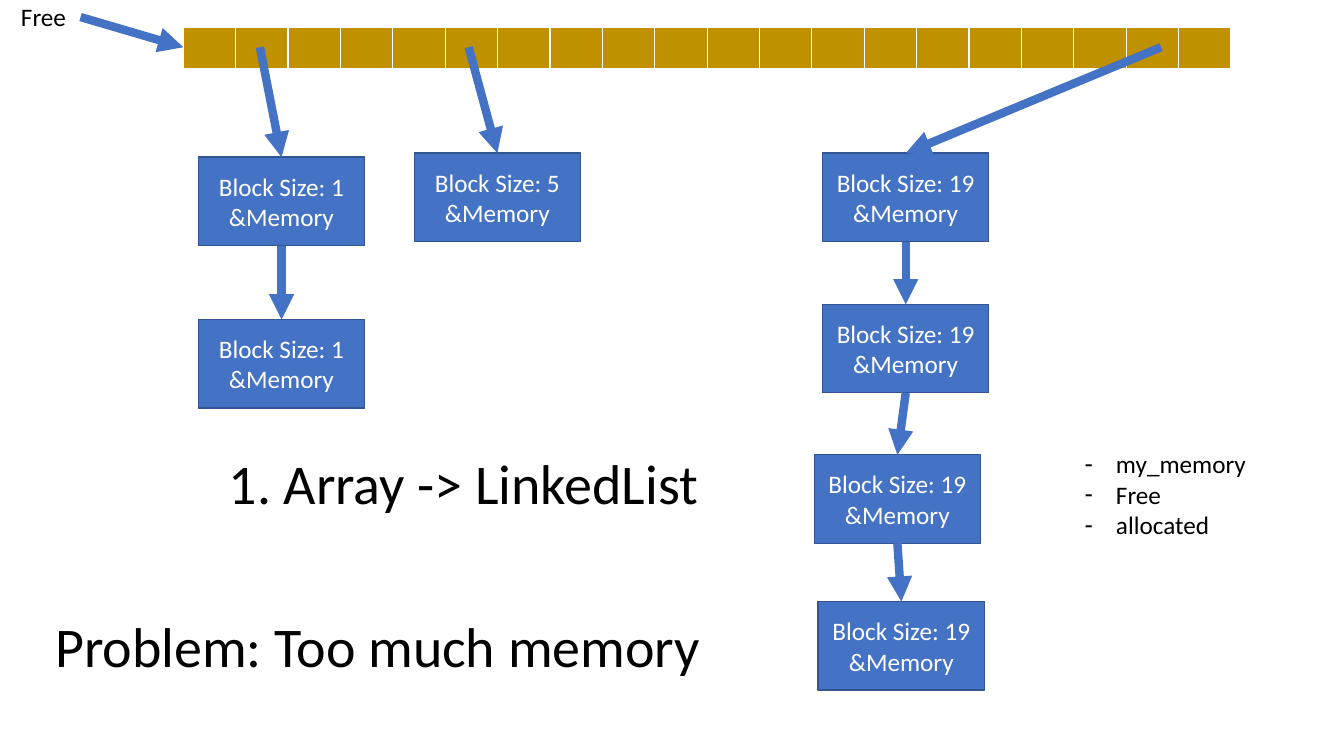
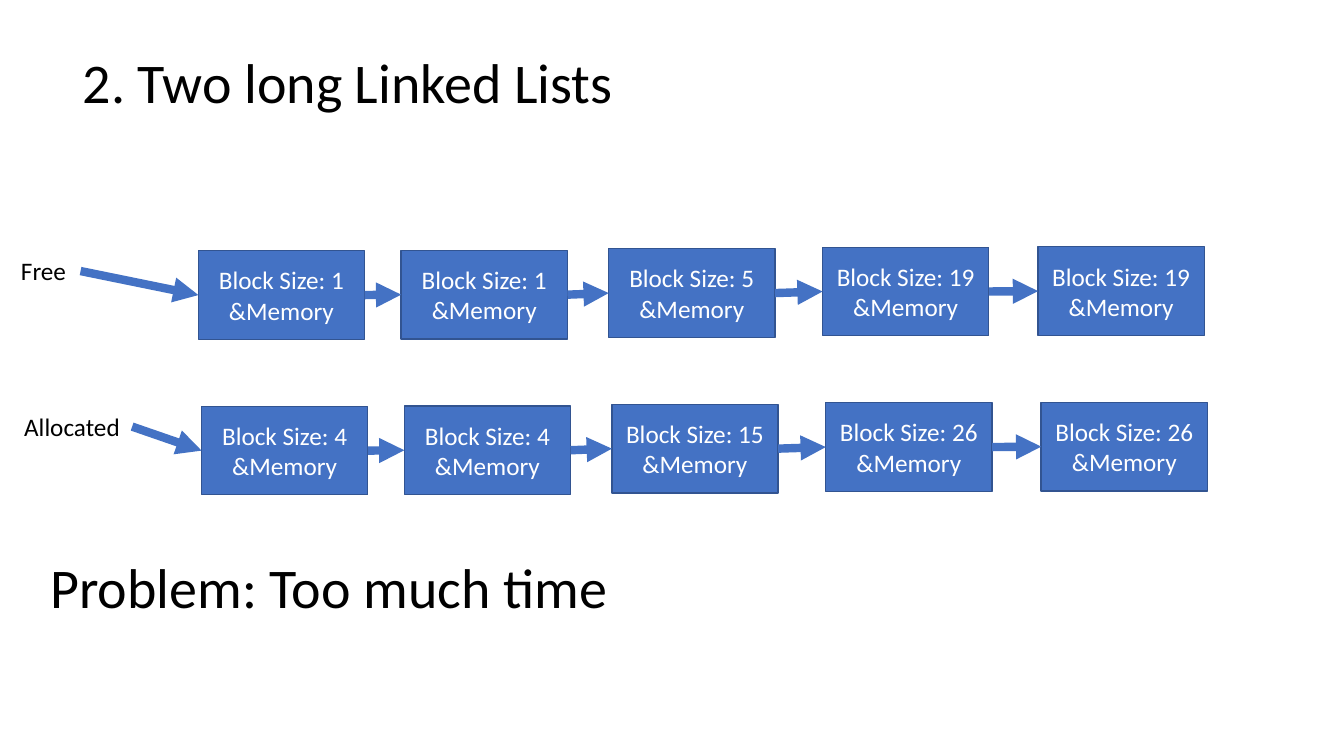
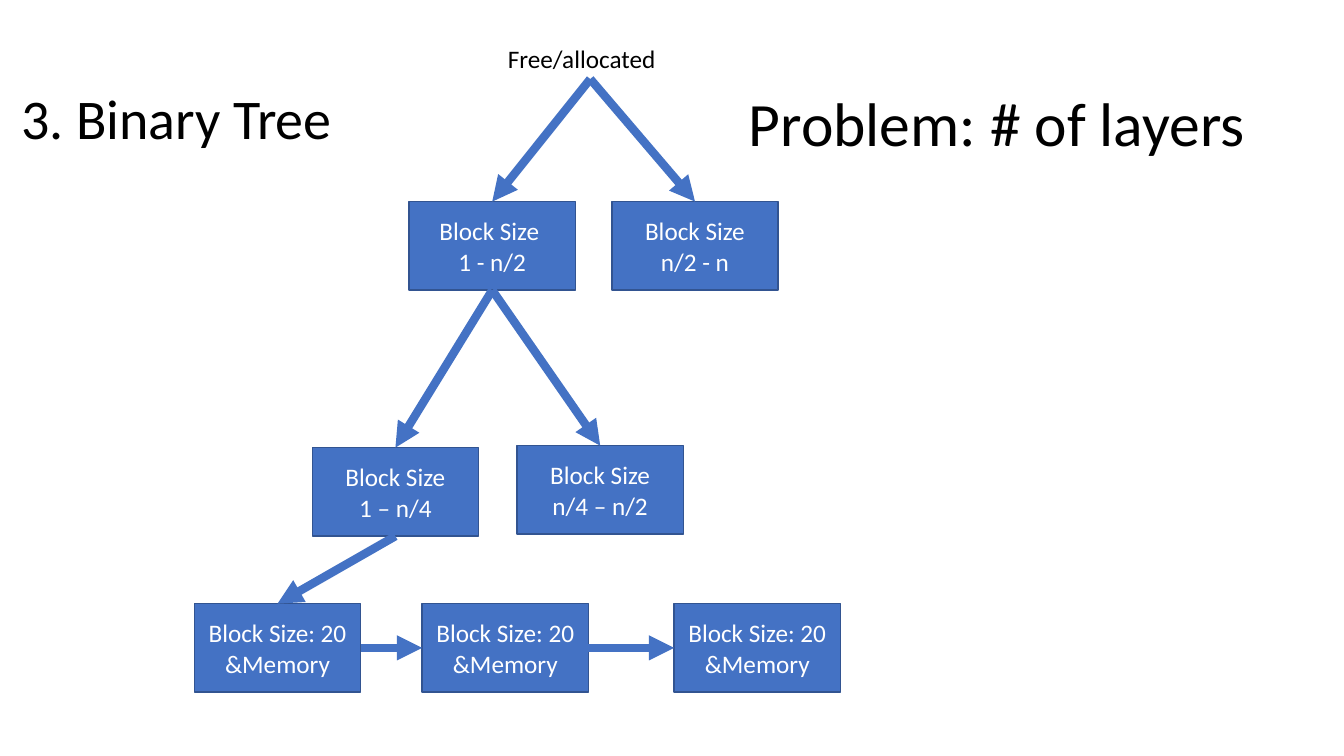
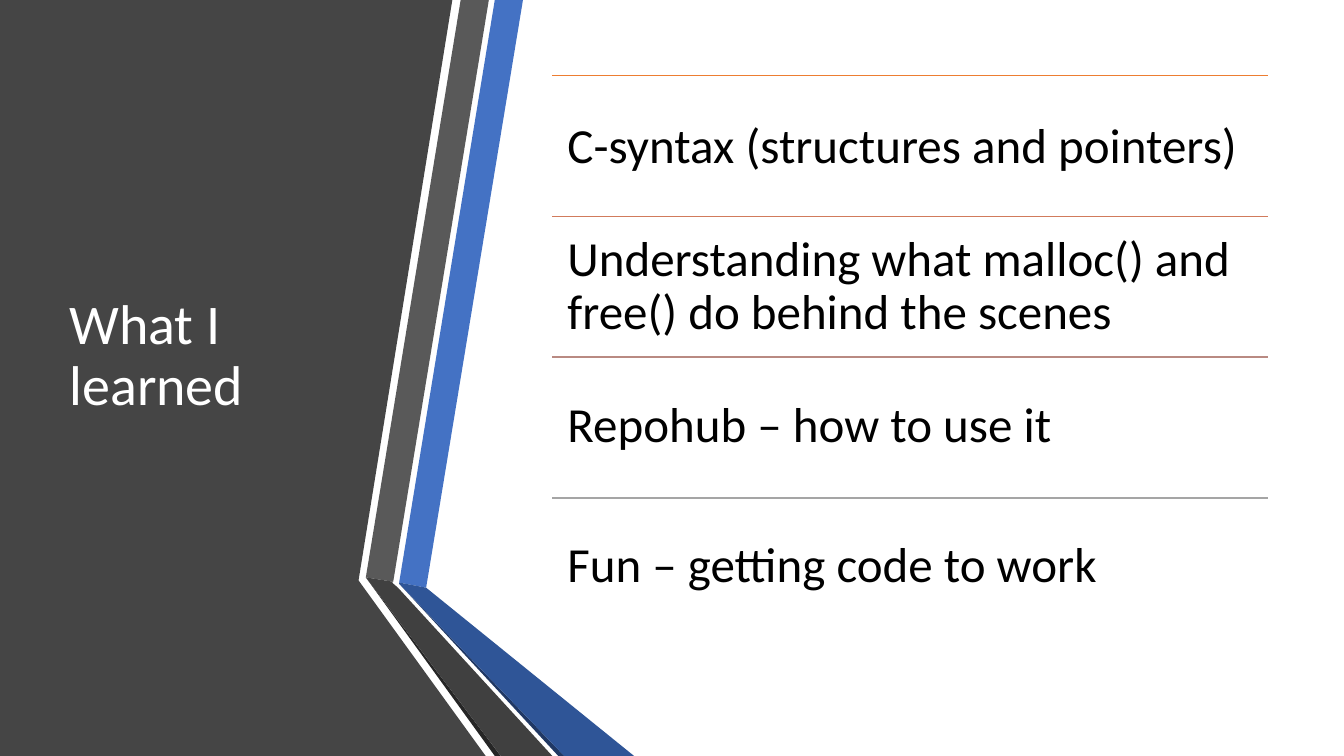
from lxml.etree import SubElement
from pptx import Presentation
from pptx.dml.color import RGBColor
from pptx.enum.shapes import MSO_CONNECTOR as Connector, MSO_SHAPE as Preset
from pptx.enum.text import MSO_ANCHOR as Anchor, MSO_AUTO_SIZE as AutoSize, PP_ALIGN as Align
from pptx.oxml.ns import qn
from pptx.util import Cm, Pt

color_of = RGBColor.from_string
FONT = "Calibri"
BLACK, WHITE, BLUE, NAVY, GOLD = "000000", "FFFFFF", "4472C4", "325491", "BF9000"
TOP, LEFT, BOTTOM, RIGHT = range(4)
BOX_WIDTH, BOX_HEIGHT = 4.19, 2.23


def write(shape, text, size=18, color=BLACK, align=Align.LEFT, anchor=Anchor.TOP,
          line_spacing=1.0, bullet=None, indent=0.0):
    frame = shape.text_frame
    frame.text = text
    frame.word_wrap = True
    frame.auto_size = AutoSize.NONE
    frame.vertical_anchor = anchor
    for paragraph in frame.paragraphs:
        paragraph.alignment = align
        paragraph.line_spacing = line_spacing
        paragraph.space_before = paragraph.space_after = Pt(0)
        font = paragraph.runs[0].font
        font.name, font.size, font.color.rgb = FONT, Pt(size), color_of(color)
        properties = paragraph._p.get_or_add_pPr()
        properties.set("marL", str(Cm(indent)))
        properties.set("indent", str(Cm(-indent)))
        if bullet:
            SubElement(properties, qn("a:buChar")).set("char", bullet)
        else:
            SubElement(properties, qn("a:buNone"))


def draw_line(slide, start, end, color=BLUE, width=6, arrow=True):
    line = slide.shapes.add_connector(Connector.STRAIGHT, *map(Cm, start + end))
    line.line.color.rgb = color_of(color)
    line.line.width = Pt(width)
    if arrow:
        SubElement(line.element.find(".//" + qn("a:ln")), qn("a:tailEnd")).set("type", "triangle")
    SubElement(line.element.spPr, qn("a:effectLst"))
    return line


presentation = Presentation()
presentation.slide_width, presentation.slide_height = Cm(33.87), Cm(19.05)

CONTENT, TITLE_ONLY = 1, 5
titles = [
    (CONTENT, "1. Array -> LinkedList", (5.51, 11.18, 13.21, 1.96)),
    (TITLE_ONLY, "2. Two long Linked Lists", (1.83, 1.07, 16.31, 1.96)),
    (TITLE_ONLY, "3. Binary Tree", (0.28, 1.98, 8.66, 1.96)),
    (CONTENT, "What I learned", (1.5, 1.9, 7.72, 14.18)),
]
slides = []
for layout, text, place in titles:
    slide = presentation.slides.add_slide(presentation.slide_layouts[layout])
    title = slide.shapes.title
    title.left, title.top, title.width, title.height = map(Cm, place)
    write(title, text, size=40)
    slides.append(slide)
array_slide, lists_slide, tree_slide, learned_slide = slides

globals_list = array_slide.placeholders[1]
globals_list.left, globals_list.top = Cm(27.08), Cm(11.18)
globals_list.width, globals_list.height = Cm(5.94), Cm(2.57)
write(globals_list, "my_memory\nFree\nallocated", bullet="-", indent=0.79)

CELLS, CELL_WIDTH, CELL_HEIGHT = 20, 1.32, 1.04
array = array_slide.shapes.add_table(1, CELLS, Cm(4.62), Cm(0.69),
                                     Cm(CELLS * CELL_WIDTH), Cm(CELL_HEIGHT)).table
for column in array.columns:
    column.width = Cm(CELL_WIDTH)
for cell in array.iter_cells():
    cell.fill.solid()
    cell.fill.fore_color.rgb = color_of(GOLD)

array_boxes = {
    "1a": ("Block Size: 1\n&Memory", 5, 3.96),
    "1b": ("Block Size: 1\n&Memory", 5, 8.05),
    "5": ("Block Size: 5\n&Memory", 10.44, 3.86),
    "19a": ("Block Size: 19\n&Memory", 20.73, 3.86),
    "19b": ("Block Size: 19\n&Memory", 20.73, 7.67),
    "19c": ("Block Size: 19\n&Memory", 20.52, 11.46),
    "19d": ("Block Size: 19\n&Memory", 20.62, 15.16),
}
array_labels = {
    "free": ("Free", 18, (0.28, -0.08, 1.75, 1.02)),
    "problem": ("Problem: Too much memory", 40, (1.14, 15.29, 18.11, 1.96)),
}
array_arrows = [
    ("free", RIGHT, (4.62, 1.19), None),
    ((6.55, 1.19), None, "1a", TOP),
    ((11.81, 1.19), None, "5", TOP),
    ((29.26, 1.19), None, "19a", TOP),
    ("1a", BOTTOM, "1b", TOP),
    ("19a", BOTTOM, "19b", TOP),
    ("19b", BOTTOM, "19c", TOP),
    ("19c", BOTTOM, "19d", TOP),
]

list_places = [(5, 6.32), (10.11, 6.31), (15.34, 6.27), (20.73, 6.23), (26.16, 6.22)]
lists_labels = {
    "free": ("Free", 18, (0.28, 6.32, 1.75, 1.02)),
    "allocated": ("Allocated", 18, (0.36, 10.24, 2.97, 1.02)),
    "problem": ("Problem: Too much time", 40, (1.02, 13.79, 15.19, 1.96)),
}
lists_boxes, lists_arrows = {}, []
for head, sizes, shift, drop in (("free", (1, 1, 5, 19, 19), 0, 0),
                                 ("allocated", (4, 4, 15, 26, 26), 0.08, 3.92)):
    previous = head
    for index, (size, (left, top)) in enumerate(zip(sizes, list_places)):
        name = f"{head}{index}"
        lists_boxes[name] = (f"Block Size: {size}\n&Memory", left + shift, top + drop)
        lists_arrows.append((previous, RIGHT, name, LEFT))
        previous = name

tree_boxes = {
    "low half": ("Block Size \n1 - n/2", 10.31, 5.08),
    "high half": ("Block Size\nn/2 - n", 15.42, 5.08),
    "first quarter": ("Block Size\n1 – n/4", 7.87, 11.28),
    "second quarter": ("Block Size\nn/4 – n/2", 13.03, 11.23),
    "20a": ("Block Size: 20\n&Memory", 4.9, 15.21),
    "20b": ("Block Size: 20\n&Memory", 10.64, 15.21),
    "20c": ("Block Size: 20\n&Memory", 16.99, 15.21),
}
tree_labels = {
    "root": ("Free/allocated", 18, (12.55, 0.97, 4.65, 1.02)),
    "problem": ("Problem: # of layers", 44, (18.62, 2.01, 13.69, 2.13)),
}
tree_arrows = [
    ("root", BOTTOM, "low half", TOP),
    ("root", BOTTOM, "high half", TOP),
    ("low half", BOTTOM, "first quarter", TOP),
    ("low half", BOTTOM, "second quarter", TOP),
    ("first quarter", BOTTOM, "20a", TOP),
    ("20a", RIGHT, "20b", LEFT),
    ("20b", RIGHT, "20c", LEFT),
]

for slide, boxes, labels, arrows in (
    (array_slide, array_boxes, array_labels, array_arrows),
    (lists_slide, lists_boxes, lists_labels, lists_arrows),
    (tree_slide, tree_boxes, tree_labels, tree_arrows),
):
    nodes = {}
    for name, (text, left, top) in boxes.items():
        box = slide.shapes.add_shape(Preset.RECTANGLE, Cm(left), Cm(top),
                                     Cm(BOX_WIDTH), Cm(BOX_HEIGHT))
        box.shadow.inherit = False
        box.fill.solid()
        box.fill.fore_color.rgb = color_of(BLUE)
        box.line.color.rgb = color_of(NAVY)
        box.line.width = Pt(1)
        write(box, text, color=WHITE, align=Align.CENTER, anchor=Anchor.MIDDLE)
        nodes[name] = box
    for name, (text, size, place) in labels.items():
        nodes[name] = slide.shapes.add_textbox(*map(Cm, place))
        write(nodes[name], text, size=size)
    for source, source_site, target, target_site in arrows:
        start = source if source_site is None else (0, 0)
        end = target if target_site is None else (0, 0)
        arrow = draw_line(slide, start, end)
        if source_site is not None:
            arrow.begin_connect(nodes[source], source_site)
        if target_site is not None:
            arrow.end_connect(nodes[target], target_site)

bands = [
    ("454545", [(0, 0), (11.4, 0), (9.04, 14.61), (9.04, 14.63), (12.24, 19.05), (0, 19.05)]),
    (BLUE, [(10.06, 14.68), (10.74, 14.81), (13.18, 0), (12.47, 0)]),
    ("595959", [(12.32, 0), (11.61, 0), (9.22, 14.55), (9.91, 14.66)]),
    ("262626", [(9.22, 14.55), (12.47, 19.05), (12.62, 19.05)]),
    ("203864", [(10.06, 14.71), (14.07, 19.05), (14.22, 19.05)]),
    ("2F5597", [(10.06, 14.71), (14.22, 19.05), (15.98, 19.05), (10.74, 14.81), (10.06, 14.68)]),
    ("404040", [(13.92, 19.05), (10.03, 14.81), (9.88, 14.68), (9.91, 14.66),
                (9.22, 14.55), (12.62, 19.05)]),
]
for color, points in bands:
    corners = [(Cm(x), Cm(y)) for x, y in points]
    builder = learned_slide.shapes.build_freeform(*corners[0], scale=1.0)
    builder.add_line_segments(corners[1:], close=True)
    band = builder.convert_to_shape()
    band.shadow.inherit = False
    band.fill.solid()
    band.fill.fore_color.rgb = color_of(color)
    band.line.fill.background()

title = learned_slide.shapes.title
write(title, "What I learned", size=40, color=WHITE, anchor=Anchor.MIDDLE, line_spacing=0.9)
title.element.getparent().append(title.element)

lessons = [
    ("C-syntax (structures and pointers)", 1, "ED7D31"),
    ("Understanding what malloc() and free() do behind the scenes", 2, "D17B5C"),
    ("Repohub – how to use it", 1, "B98A82"),
    ("Fun – getting code to work", 1, "A5A5A5"),
]
ROW_LEFT, ROW_TOP, ROW_WIDTH, ROW_HEIGHT, LINE_HEIGHT = 13.92, 1.9, 18.03, 3.55, 1.36
lesson_list = learned_slide.placeholders[1]
lesson_list.left, lesson_list.top = Cm(ROW_LEFT), Cm(ROW_TOP)
lesson_list.width, lesson_list.height = Cm(ROW_WIDTH), Cm(len(lessons) * ROW_HEIGHT)
write(lesson_list, "\n".join(text for text, _, _ in lessons), size=35,
      anchor=Anchor.MIDDLE, line_spacing=0.9)
frame = lesson_list.text_frame
frame.margin_left = frame.margin_right = frame.margin_top = frame.margin_bottom = Cm(0.38)

previous_lines = None
for index, (paragraph, (_, lines, color)) in enumerate(zip(frame.paragraphs, lessons)):
    if previous_lines:
        paragraph.space_before = Cm(ROW_HEIGHT - LINE_HEIGHT * (previous_lines + lines) / 2)
    previous_lines = lines
    row_top = ROW_TOP + index * ROW_HEIGHT
    draw_line(learned_slide, (ROW_LEFT, row_top), (ROW_LEFT + ROW_WIDTH, row_top),
              color=color, width=1, arrow=False)

presentation.save("out.pptx")
